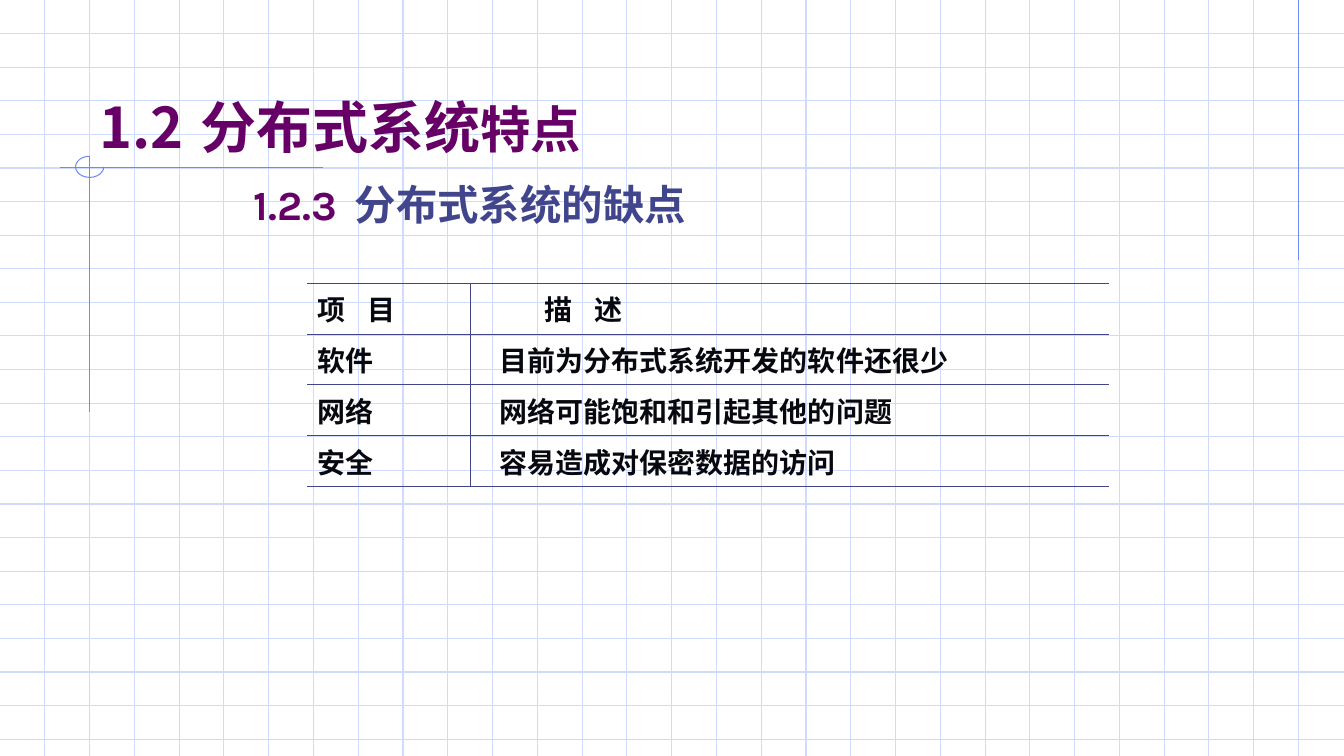
"""Build a slide that lists the drawbacks of distributed systems."""
from lxml import etree
from pptx import Presentation
from pptx.dml.color import RGBColor
from pptx.enum.shapes import MSO_CONNECTOR, MSO_SHAPE
from pptx.enum.text import MSO_ANCHOR, PP_ALIGN
from pptx.oxml.ns import qn
from pptx.util import Inches, Pt

STRAIGHT = MSO_CONNECTOR.STRAIGHT
ARC = MSO_SHAPE.ARC
BOTTOM, TOP = MSO_ANCHOR.BOTTOM, MSO_ANCHOR.TOP
LEFT = PP_ALIGN.LEFT
WIDTH, HEIGHT = 13.34, 7.5
LATIN, ASIAN = "Karla", "Noto Sans CJK JP"
COLORS = {"grid": "CFDBFD", "accent": "6F89F7", "purple": "660066",
          "indigo": "40458C", "ink": "080910"}
ROWS = [("项\t目", "描\t述"),
        ("软件", "目前为分布式系统开发的软件还很少"),
        ("网络", "网络可能饱和和引起其他的问题"),
        ("安全", "容易造成对保密数据的访问")]


def add_text(para, text, size, color, font=LATIN):
    """Add a bold run with the given format."""
    span = para.add_run()
    span.text = text
    span.font.size = Pt(size)
    span.font.bold = True
    span.font.color.rgb = RGBColor.from_string(COLORS[color])
    span.font.name = font
    etree.SubElement(span.font._element, qn("a:ea"), typeface=ASIAN)


def format_paragraph(para, tab=None, before=0, spacing=1.0):
    """Set a plain left paragraph with an optional tab stop."""
    para.alignment = LEFT
    para.space_before = Pt(before)
    para.line_spacing = spacing
    properties = para._p.get_or_add_pPr()
    properties.set("marL", "0")
    properties.set("indent", "0")
    etree.SubElement(properties, qn("a:buNone"))
    if tab:
        stops = etree.SubElement(properties, qn("a:tabLst"))
        etree.SubElement(stops, qn("a:tab"), pos=str(Inches(tab)), algn="l")


class SlideBuilder:
    """Hold the style and the current slide."""

    def __init__(self, deck):
        """Add a title and content page."""
        self.page = deck.slides.add_slide(deck.slide_layouts[1])

    def line(self, start, end, color):
        """Draw a thin straight line."""
        line = self.page.shapes.add_connector(
            STRAIGHT, *(Inches(value) for value in (*start, *end)))
        line.line.width = Pt(0.75)
        line.line.color.rgb = RGBColor.from_string(COLORS[color])
        etree.SubElement(line.element.spPr, qn("a:effectLst"))

    def grid(self):
        """Draw the squared paper."""
        for index in range(1, 23):
            self.line((0, index / 3), (WIDTH, index / 3), "grid")
        for index in range(1, 30):
            self.line((index * 4 / 9, 0), (index * 4 / 9, HEIGHT), "grid")

    def arc(self, left, top, width, height):
        """Draw a three-quarter arc that is open at the top right."""
        arc = self.page.shapes.add_shape(
            ARC, Inches(left), Inches(top), Inches(width), Inches(height))
        arc.adjustments[0] = 0
        arc.adjustments[1] = 162
        arc.shadow.inherit = False
        arc.fill.background()
        arc.line.width = Pt(0.75)
        arc.line.color.rgb = RGBColor.from_string(COLORS["accent"])

    def placeholder(self, index, bounds, anchor, spans, tab, spacing=1.0):
        """Fill a placeholder and bring it in front of the grid."""
        box = self.page.placeholders[index]
        box.left, box.top, box.width, box.height = map(Inches, bounds)
        box.element.getparent().append(box.element)
        frame = box.text_frame
        frame.word_wrap = True
        frame.vertical_anchor = anchor
        frame.margin_bottom = 0
        para = frame.paragraphs[0]
        format_paragraph(para, tab=tab, spacing=spacing)
        for text, style in spans:
            add_text(para, text, **style)

    def borders(self, cell, sides):
        """Rule the given sides of a cell and clear the others."""
        properties = cell._tc.get_or_add_tcPr()
        for side in "LRTB":
            border = etree.SubElement(properties, qn(f"a:ln{side}"), w=str(Pt(0.45)))
            if side in sides:
                fill = etree.SubElement(border, qn("a:solidFill"))
                etree.SubElement(fill, qn("a:srgbClr"), val=COLORS["indigo"])
            else:
                etree.SubElement(border, qn("a:noFill"))

    def table(self, left, top, widths, row_height, rows):
        """Add the ruled table with a header row."""
        table = self.page.shapes.add_table(
            len(rows), len(widths), Inches(left), Inches(top),
            Inches(sum(widths)), Inches(row_height * len(rows))).table
        table.first_row = table.horz_banding = False
        for column, width in zip(table.columns, widths):
            column.width = Inches(width)
        for row, texts in enumerate(rows):
            table.rows[row].height = Inches(row_height)
            for column, text in enumerate(texts):
                cell = table.cell(row, column)
                self.borders(cell, "LTB" if column else "RTB")
                cell.fill.background()
                if column:
                    cell.margin_left = Inches(0.29 if row else 0.73)
                para = cell.text_frame.paragraphs[0]
                format_paragraph(para, tab=0.66 if column else 0.41, before=5)
                add_text(para, text, size=20, color="ink")


def main():
    """Build and save the deck."""
    deck = Presentation()
    deck.slide_width, deck.slide_height = Inches(WIDTH), Inches(HEIGHT)
    slide = SlideBuilder(deck)
    slide.grid()
    slide.line((12.89, 0), (12.89, 2.58), "accent")
    slide.line((3.21, 1.66), (0.6, 1.66), "accent")
    slide.line((0.89, 1.55), (0.89, 4.09), "accent")
    slide.arc(0.75, 1.55, 0.28, 0.21)
    heading = {"color": "purple", "font": ASIAN}
    slide.placeholder(0, (0.89, 0.33, 11.33, 1.25), BOTTOM,
                      [("1.2\t分布式系统", {"size": 40, **heading}),
                       ("特点", {"size": 36, **heading})], tab=1.09)
    slide.placeholder(1, (2.42, 1.78, 8.5, 4.5), TOP,
                      [("1.2.3\t", {"size": 29.6, "color": "purple"}),
                       ("分布式系统的缺点", {"size": 29.6, "color": "indigo"})],
                      tab=1.13, spacing=0.9)
    slide.table(3.05, 2.81, (1.62, 6.34), 0.5, ROWS)
    deck.save("out.pptx")


if __name__ == "__main__":
    main()
